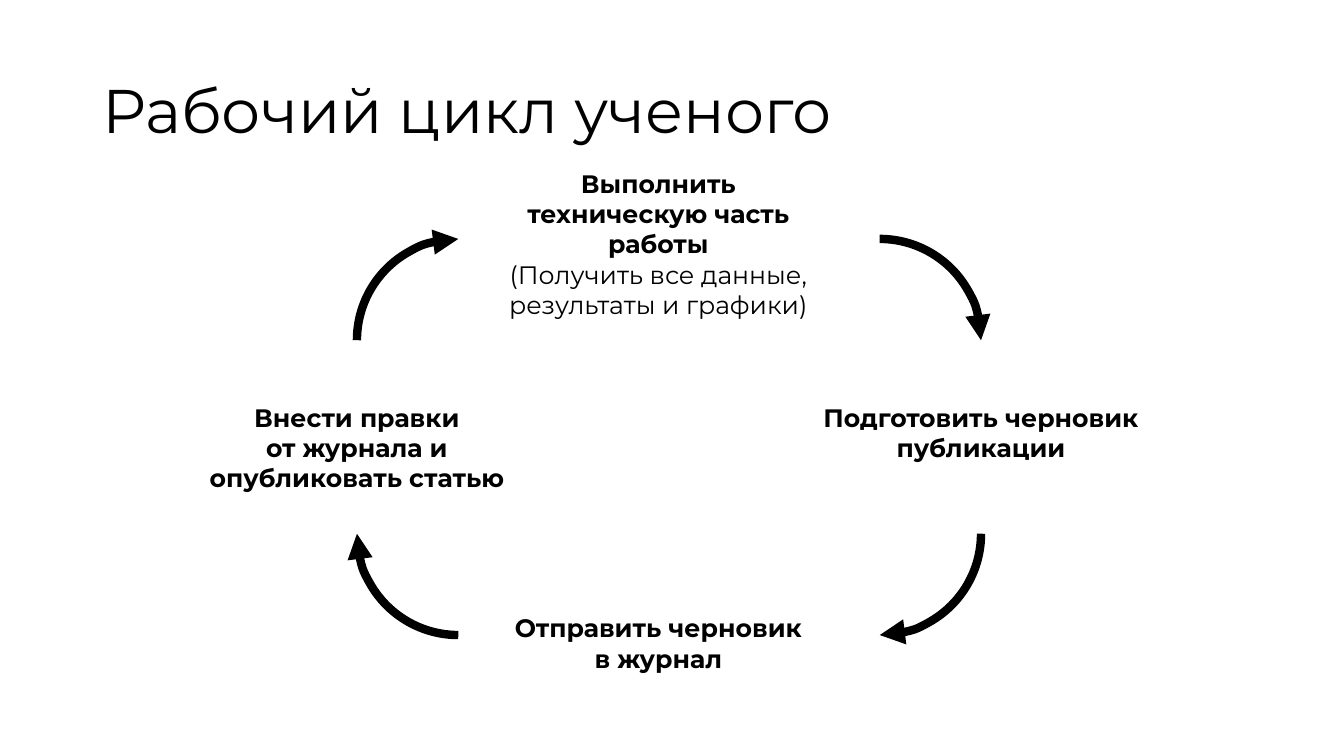
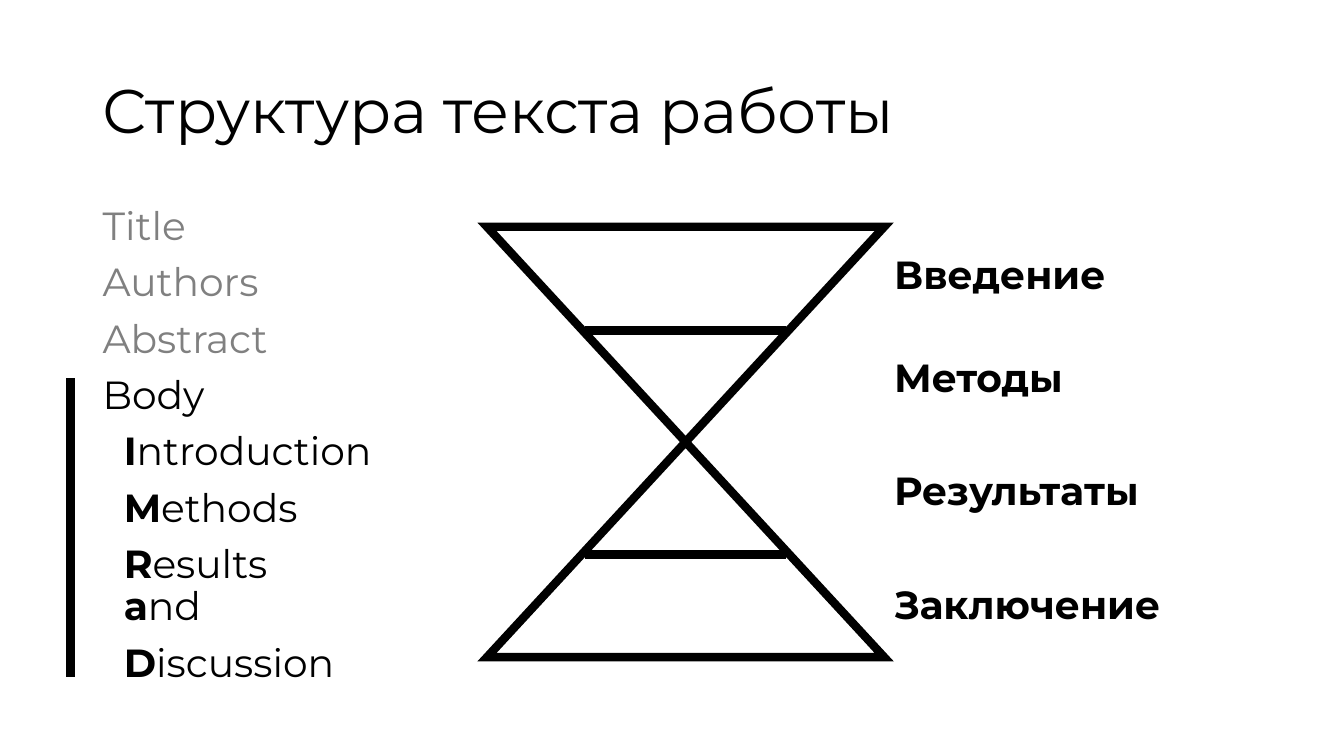
from lxml import etree
from pptx import Presentation
from pptx.dml.color import RGBColor
from pptx.enum.shapes import MSO_CONNECTOR, MSO_SHAPE
from pptx.enum.text import MSO_ANCHOR, PP_ALIGN
from pptx.oxml.ns import qn
from pptx.util import Inches, Pt

STRAIGHT = MSO_CONNECTOR.STRAIGHT
ARC, HOURGLASS = MSO_SHAPE.ARC, MSO_SHAPE.FLOWCHART_COLLATE
TOP, MIDDLE = MSO_ANCHOR.TOP, MSO_ANCHOR.MIDDLE
LEFT, CENTER = PP_ALIGN.LEFT, PP_ALIGN.CENTER

WIDTH, HEIGHT = 13.33, 7.5
FONT = "Montserrat"
BLACK, GRAY, WHITE = "000000", "808080", "FFFFFF"
STROKE = 6
MARGIN, CONTENT_WIDTH = 0.92, 11.5

# A paragraph is a list of lines, and a line is a list of (text, bold) spans.
CYCLE_TITLE = "Рабочий цикл ученого"
STEP_WIDTH = 3.4
STEPS = [  # left, top, height, lines
    (4.83, 1.62, 1.62, [[("Выполнить техническую часть работы", True)],
                        [("(Получить все данные, результаты и графики)", False)]]),
    (8.03, 3.94, 0.71, [[("Подготовить черновик публикации", True)]]),
    (4.83, 6.03, 0.71, [[("Отправить черновик", True)], [("в журнал", True)]]),
    (1.84, 3.94, 1.01, [[("Внести правки", True)],
                        [("от журнала и опубликовать статью", True)]]),
]
ARC_SIZE = 2.01
ARC_LEFTS, ARC_TOPS = (3.54, 7.72), (2.37, 4.29)
ARC_CELLS = [(1, 0), (1, 1), (0, 1), (0, 0)]  # column, row, clockwise

STRUCTURE_TITLE = "Структура текста работы"
OUTLINE = [("Title", GRAY), ("Authors", GRAY), ("Abstract", GRAY), ("Body", BLACK)]
BODY_PARTS = [["Introduction"], ["Methods"], ["Results", "and"], ["Discussion"]]
BODY_INDENT = 0.21
BODY_BAR = (0.7, 3.75, 0.7, 6.72)
GLASS = (4.83, 2.25, 3.94, 4.27)
GLASS_LINES = [3.28, 5.5]
GLASS_LINE_ENDS = (5.8, 7.8)
SECTIONS = [("Введение", 2.43), ("Методы", 3.46),
            ("Результаты", 4.58), ("Заключение", 5.71)]


def color(value):
    return RGBColor.from_string(value)


def style_line(item):
    """Give a shape or connector the thick black line with sharp corners."""
    item.line.color.rgb = color(BLACK)
    item.line.width = Pt(STROKE)
    outline = item.element.spPr.find(qn("a:ln"))
    etree.SubElement(outline, qn("a:miter"), lim="800000")
    return outline


def add_line(shapes, ends):
    line = shapes.add_connector(STRAIGHT, *map(Inches, ends))
    style_line(line)
    etree.SubElement(line.element.spPr, qn("a:effectLst"))


def add_outlined(shapes, kind, frame):
    shape = shapes.add_shape(kind, *map(Inches, frame))
    shape.shadow.inherit = False
    return shape, style_line(shape)


def add_text(slide, frame, paragraphs, size, align=LEFT, anchor=TOP, wrap=True):
    """Add a text box from (lines, colour, indent) paragraphs; return its paragraphs."""
    box = slide.shapes.add_textbox(*map(Inches, frame))
    text_frame = box.text_frame
    text_frame.word_wrap = wrap
    text_frame.vertical_anchor = anchor
    for index, (lines, ink, indent) in enumerate(paragraphs):
        para = text_frame.add_paragraph() if index else text_frame.paragraphs[0]
        para.alignment = align
        para.font.size = Pt(size)
        if indent:
            para._p.get_or_add_pPr().set("marL", str(Inches(indent)))
        for number, line in enumerate(lines):
            if number:
                para.add_line_break()
            for text, bold in line:
                span = para.add_run()
                span.text = text
                span.font.name = FONT
                span.font.size = Pt(size)
                span.font.bold = bold
                span.font.color.rgb = color(ink)
    return text_frame.paragraphs


def add_page(deck, title):
    page = deck.slides.add_slide(deck.slide_layouts[6])
    paras = add_text(page, (MARGIN, 0.4, CONTENT_WIDTH, 1.45),
                     [([[(title, False)]], BLACK, 0)], 44, anchor=MIDDLE)
    paras[0].line_spacing = 0.9
    return page


def build_cycle(deck):
    page = add_page(deck, CYCLE_TITLE)
    for turn, (column, row) in enumerate(ARC_CELLS):
        frame = (ARC_LEFTS[column], ARC_TOPS[row], ARC_SIZE, ARC_SIZE)
        arc, outline = add_outlined(page.shapes, ARC, frame)
        arc.fill.background()
        arc.rotation = 90 * turn
        etree.SubElement(outline, qn("a:tailEnd"), type="triangle")
    for left, top, height, lines in STEPS:
        add_text(page, (left, top, STEP_WIDTH, height), [(lines, BLACK, 0)], 18, CENTER)


def build_structure(deck):
    page = add_page(deck, STRUCTURE_TITLE)
    outline = [([[(text, False)]], ink, 0) for text, ink in OUTLINE]
    for words in BODY_PARTS:
        lines = [[(word[0], True), (word[1:], False)] for word in words]
        outline.append((lines, BLACK, BODY_INDENT))
    for para in add_text(page, (MARGIN, 2, CONTENT_WIDTH, HEIGHT - 2), outline, 28):
        para.line_spacing = 0.9
        para.space_before = Pt(10)
    add_line(page.shapes, BODY_BAR)

    group = page.shapes.add_group_shape()
    glass, _ = add_outlined(group.shapes, HOURGLASS, GLASS)
    glass.fill.solid()
    glass.fill.fore_color.rgb = color(WHITE)
    start, end = GLASS_LINE_ENDS
    for level in GLASS_LINES:
        add_line(group.shapes, (start, level, end, level))

    label_left = GLASS[0] + GLASS[2]
    for text, top in SECTIONS:
        add_text(page, (label_left, top, 2.9, 0.57),
                 [([[(text, True)]], BLACK, 0)], 28, wrap=False)


def main():
    deck = Presentation()
    deck.slide_width, deck.slide_height = Inches(WIDTH), Inches(HEIGHT)
    build_cycle(deck)
    build_structure(deck)
    deck.save("out.pptx")


if __name__ == "__main__":
    main()
